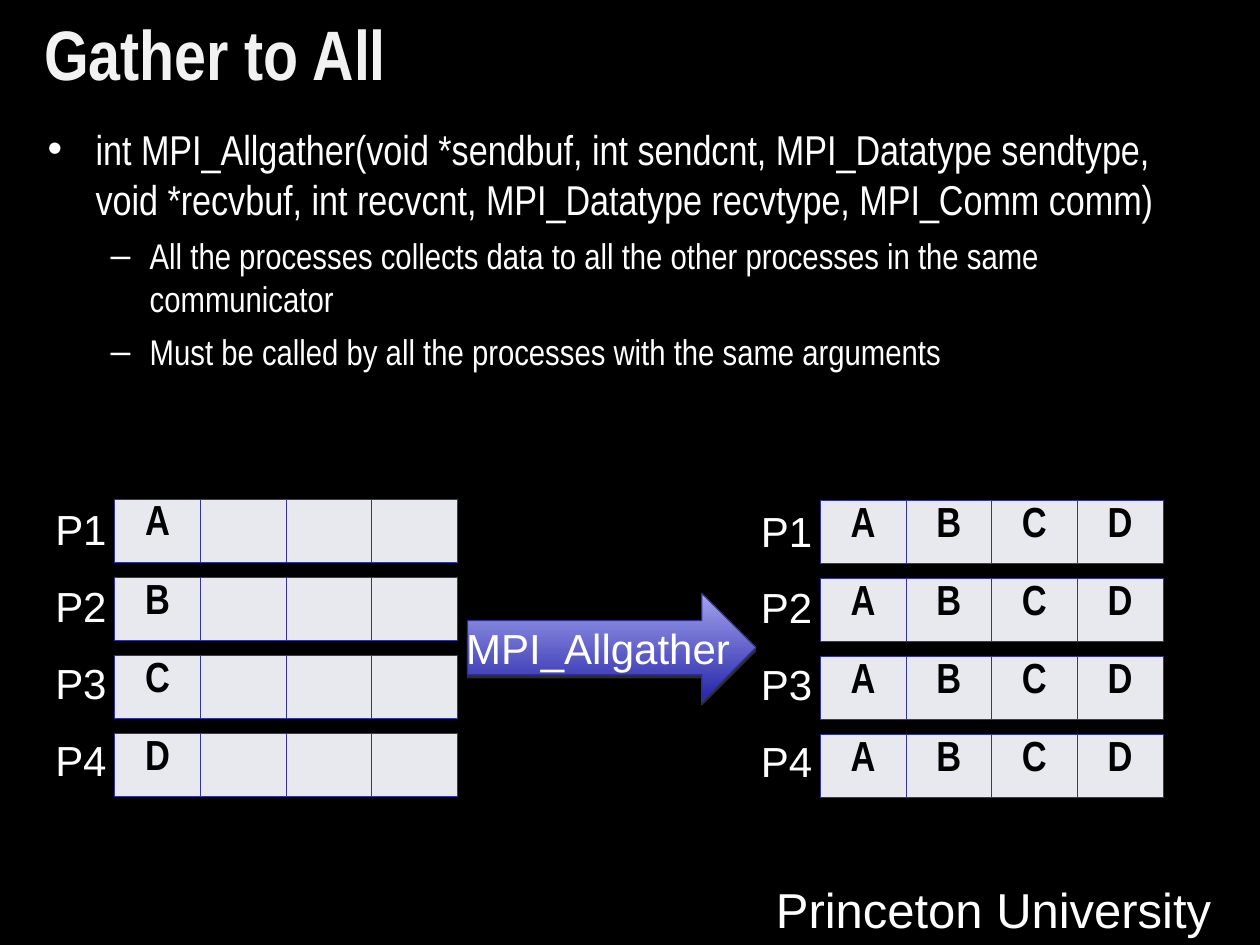
from lxml import etree
from pptx import Presentation
from pptx import util as u
from pptx.dml.color import RGBColor
from pptx.enum import shapes, text
from pptx.oxml import ns

COLORS = {
    "background": "000000", "title": "F2F2F2", "body": "FFFFFF",
    "cell": "E8E8EF", "letter": "000000", "border": "333399",
    "arrow_top": "A3A3EF", "arrow_bottom": "2424A8",
    "arrow_line": "2F2F98", "shadow": "808080",
}
PROCESSES = ["P1", "P2", "P3", "P4"]
LETTERS = ["A", "B", "C", "D"]


def rgb(name):
    return RGBColor.from_string(COLORS[name])


def add_xml(parent, tag, **attributes):
    return etree.SubElement(parent, ns.qn(tag), attributes)


class GatherSlide:
    """Styled slide with one method for each kind of element."""

    wide, narrow = "Arial", "Arial Narrow"

    def __init__(self, deck):
        self.slide = deck.slides.add_slide(deck.slide_layouts[5])
        self.slide.background.fill.solid()
        self.slide.background.fill.fore_color.rgb = rgb("background")

    def run(self, paragraph, words, size, font, color="body", bold=False):
        run = paragraph.add_run()
        run.text = words
        run.font.size = u.Pt(size)
        run.font.name = font
        run.font.bold = bold
        run.font.color.rgb = rgb(color)

    def title(self, words):
        heading = self.slide.shapes.title
        heading.left, heading.top = u.Inches(0.25), u.Inches(0)
        heading.width, heading.height = u.Inches(9.5), u.Inches(0.84)
        frame = heading.text_frame
        frame.auto_size = text.MSO_AUTO_SIZE.NONE
        frame.vertical_anchor = text.MSO_ANCHOR.MIDDLE
        frame.paragraphs[0].alignment = text.PP_ALIGN.LEFT
        self.run(frame.paragraphs[0], words, 40, self.narrow, "title", True)

    def label(self, words, left, top, width, height, size=24):
        box = self.slide.shapes.add_textbox(
            u.Inches(left), u.Inches(top), u.Inches(width), u.Inches(height))
        box.text_frame.word_wrap = False
        box.text_frame.auto_size = text.MSO_AUTO_SIZE.SHAPE_TO_FIT_TEXT
        self.run(box.text_frame.paragraphs[0], words, size, self.wide)

    def bullets(self, items, left, top, width, height):
        styles = [("•", 0.38, -0.38, 23.8), ("–", 0.81, -0.31, 20.4)]
        frame = self.slide.shapes.add_textbox(
            u.Inches(left), u.Inches(top),
            u.Inches(width), u.Inches(height)).text_frame
        frame.word_wrap = True
        for index, (level, words) in enumerate(items):
            paragraph = frame.add_paragraph() if index else frame.paragraphs[0]
            mark, margin, indent, size = styles[level]
            paragraph.level = level
            paragraph.space_before = u.Pt(6 if index else 0)
            properties = paragraph._p.get_or_add_pPr()
            properties.set("marL", str(u.Inches(margin)))
            properties.set("indent", str(u.Inches(indent)))
            bullet_color = add_xml(properties, "a:buClr")
            add_xml(bullet_color, "a:srgbClr", val=COLORS["body"])
            add_xml(properties, "a:buFont", typeface=self.wide)
            add_xml(properties, "a:buChar", char=mark)
            self.run(paragraph, words, size, self.narrow)

    def buffer(self, letters, left, top):
        table = self.slide.shapes.add_table(
            1, len(letters), u.Inches(left), u.Inches(top),
            u.Inches(0.68 * len(letters)), u.Inches(0.5)).table
        table.first_row = table.horz_banding = False
        for cell, letter in zip(table.iter_cells(), letters):
            properties = cell._tc.get_or_add_tcPr()
            for side in ("a:lnL", "a:lnR", "a:lnT", "a:lnB"):
                border = add_xml(properties, side, w=str(u.Pt(0.45)))
                paint = add_xml(border, "a:solidFill")
                add_xml(paint, "a:srgbClr", val=COLORS["border"])
            cell.fill.solid()
            cell.fill.fore_color.rgb = rgb("cell")
            if letter:
                paragraph = cell.text_frame.paragraphs[0]
                paragraph.alignment = text.PP_ALIGN.CENTER
                self.run(paragraph, letter, 24, self.narrow, "letter", True)

    def processes(self, buffers, left, top):
        for row, (process, letters) in enumerate(zip(PROCESSES, buffers)):
            self.buffer(letters, left, top + 0.62 * row)
            self.label(process, left - 0.57, top - 0.01 + 0.61 * row, 0.61, 0.5)

    def arrow(self, words, left, top, width, height):
        arrow = self.slide.shapes.add_shape(
            shapes.MSO_SHAPE.RIGHT_ARROW, u.Inches(left), u.Inches(top),
            u.Inches(width), u.Inches(height))
        arrow.fill.gradient()
        arrow.fill.gradient_angle = 270
        for stop, color in zip(arrow.fill.gradient_stops,
                               ("arrow_top", "arrow_bottom")):
            stop.color.rgb = rgb(color)
        arrow.line.color.rgb = rgb("arrow_line")
        arrow.line.width = u.Pt(0.75)
        arrow.shadow.inherit = False
        effects = arrow._element.spPr.find(ns.qn("a:effectLst"))
        shadow = add_xml(effects, "a:outerShdw", blurRad="0",
                         dist=str(u.Pt(1.8)), dir="5400000", rotWithShape="0")
        shade = add_xml(shadow, "a:srgbClr", val=COLORS["shadow"])
        add_xml(shade, "a:alpha", val="35000")
        frame = arrow.text_frame
        frame.margin_left = frame.margin_right = 0
        frame.margin_top = frame.margin_bottom = 0
        frame.word_wrap = False
        frame.vertical_anchor = text.MSO_ANCHOR.MIDDLE
        frame.paragraphs[0].alignment = text.PP_ALIGN.CENTER
        self.run(frame.paragraphs[0], words, 24, self.wide)


def main():
    deck = Presentation()
    deck.slide_width, deck.slide_height = u.Inches(10), u.Inches(7.5)
    page = GatherSlide(deck)
    page.label("Princeton University", 6.06, 6.93, 3.65, 0.57, size=28)
    page.title("Gather to All")
    page.bullets([
        (0, "int MPI_Allgather(void *sendbuf, int sendcnt, MPI_Datatype "
            "sendtype, void *recvbuf, int recvcnt, MPI_Datatype recvtype, "
            "MPI_Comm comm)"),
        (1, "All the processes collects data to all the other processes in "
            "the same communicator"),
        (1, "Must be called by all the processes with the same arguments"),
    ], 0.28, 0.93, 9.39, 2.52)
    page.processes([LETTERS] * len(PROCESSES), 6.51, 3.97)
    page.arrow("MPI_Allgather", 3.71, 4.71, 2.29, 0.86)
    page.processes([[letter, "", "", ""] for letter in LETTERS], 0.91, 3.96)
    deck.save("out.pptx")


if __name__ == "__main__":
    main()
